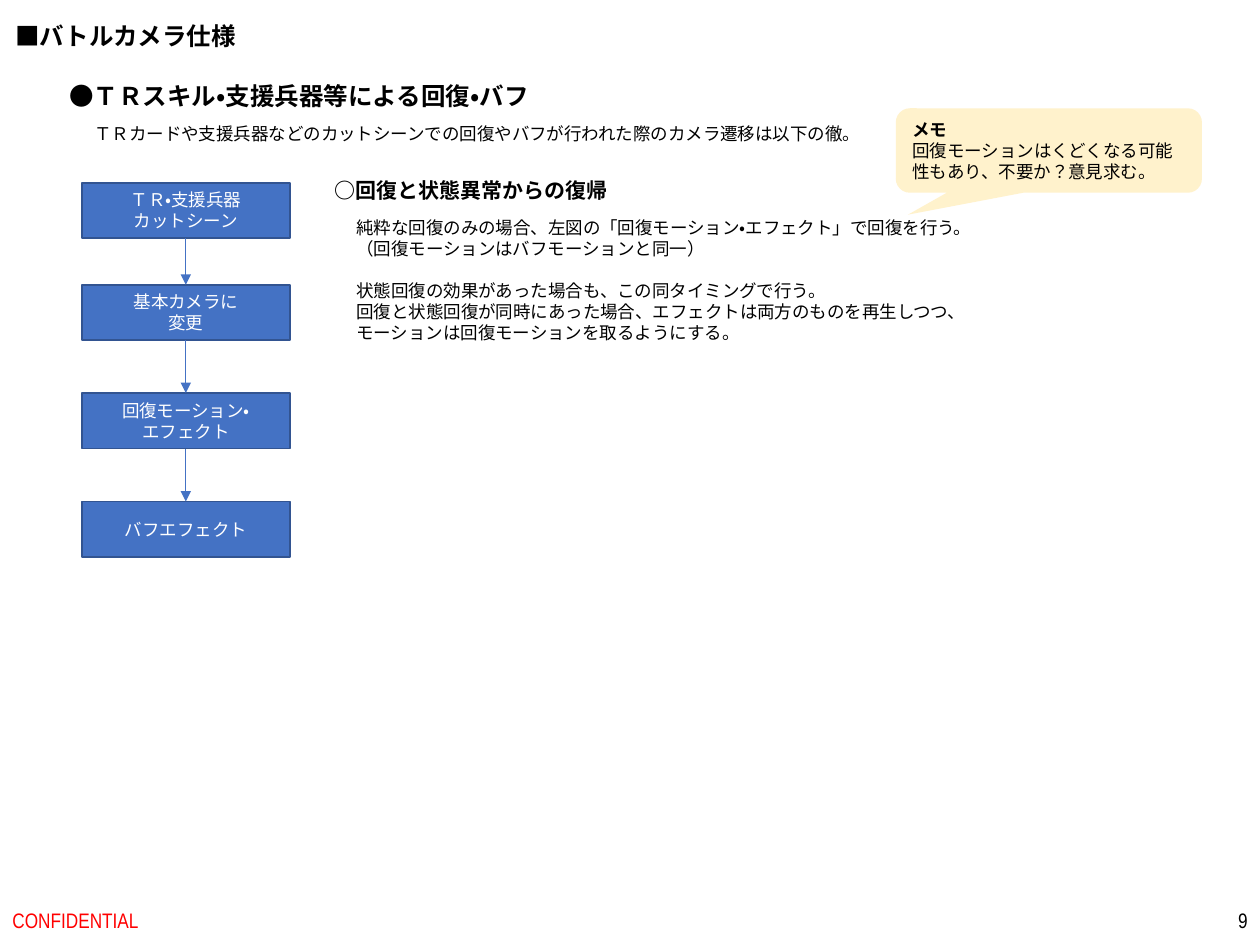
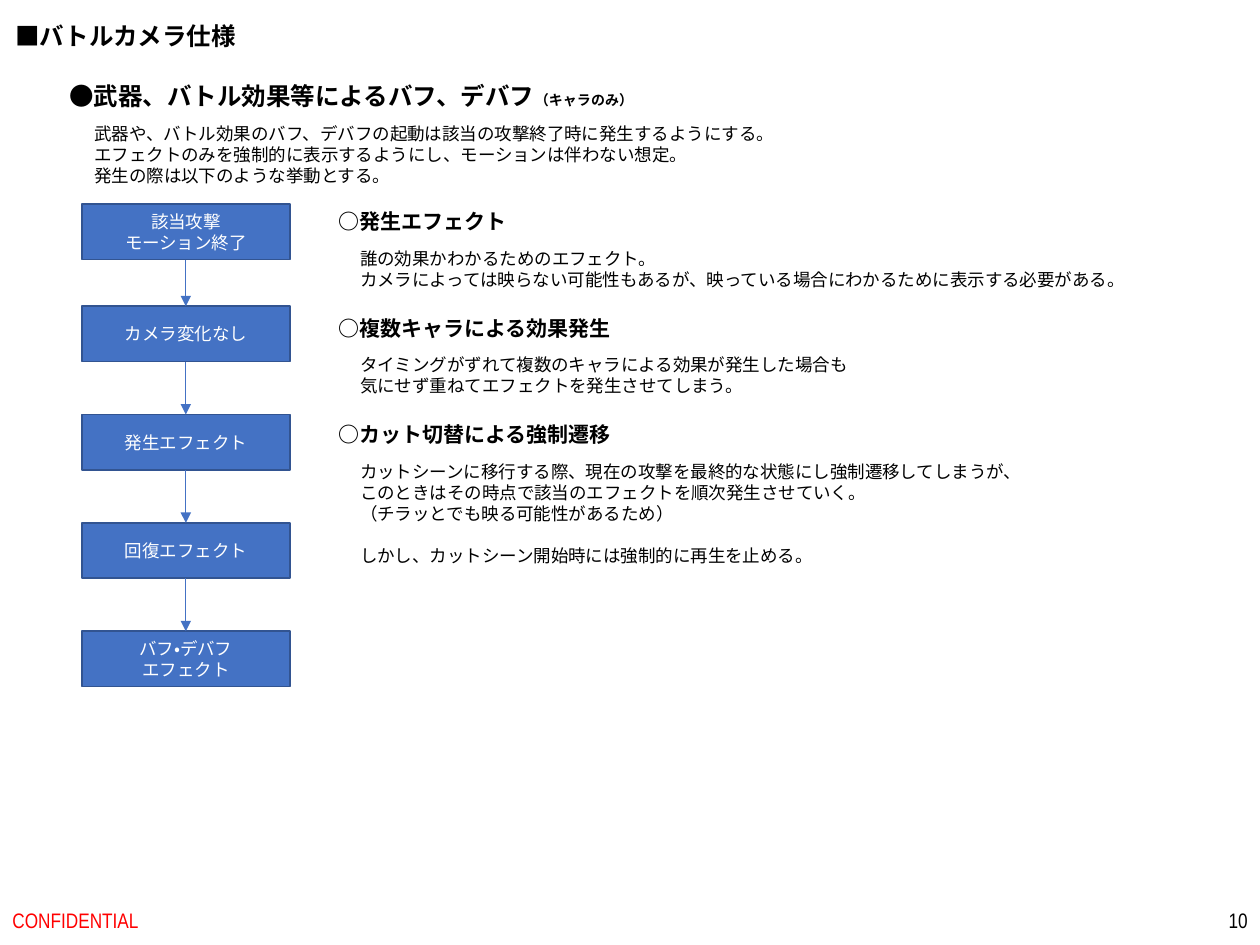
from lxml.etree import SubElement
from pptx import Presentation
from pptx.dml.color import RGBColor
from pptx.enum.lang import MSO_LANGUAGE_ID
from pptx.enum.shapes import MSO_CONNECTOR, MSO_SHAPE
from pptx.enum.text import MSO_ANCHOR, MSO_AUTO_SIZE, PP_ALIGN
from pptx.oxml.ns import qn
from pptx.util import Inches, Pt

# Content: "" in a list of lines opens a gap before the next line
TITLE = "■バトルカメラ仕様"
FOOTER = "CONFIDENTIAL"
PAGES = [
    {
        "number": 9,
        "heading": "●ＴＲスキル・支援兵器等による回復・バフ",
        "heading_note": "",
        "intro": ["ＴＲカードや支援兵器などのカットシーンでの回復やバフが行われた際のカメラ遷移は以下の徹。"],
        "flow_top": 1.45,
        "flow": [
            ["ＴＲ・支援兵器", "カットシーン"],
            ["基本カメラに", "変更"],
            ["回復モーション・", "エフェクト"],
            ["バフエフェクト"],
        ],
        "sections_at": (2.56, 1.36),
        "sections": [
            ("○回復と状態異常からの復帰", [
                "純粋な回復のみの場合、左図の「回復モーション・エフェクト」で回復を行う。",
                "（回復モーションはバフモーションと同一）",
                "",
                "状態回復の効果があった場合も、この同タイミングで行う。",
                "回復と状態回復が同時にあった場合、エフェクトは両方のものを再生しつつ、",
                "モーションは回復モーションを取るようにする。",
            ]),
        ],
        "memo": ["メモ", "回復モーションはくどくなる可能性もあり、不要か？意見求む。"],
    },
    {
        "number": 10,
        "heading": "●武器、バトル効果等によるバフ、デバフ",
        "heading_note": "（キャラのみ）",
        "intro": [
            "武器や、バトル効果のバフ、デバフの起動は該当の攻撃終了時に発生するようにする。",
            "エフェクトのみを強制的に表示するようにし、モーションは伴わない想定。",
            "発生の際は以下のような挙動とする。",
        ],
        "flow_top": 1.62,
        "flow": [
            ["該当攻撃", "モーション終了"],
            ["カメラ変化なし"],
            ["発生エフェクト"],
            ["回復エフェクト"],
            ["バフ・デバフ", "エフェクト"],
        ],
        "sections_at": (2.59, 1.61),
        "sections": [
            ("○発生エフェクト", [
                "誰の効果かわかるためのエフェクト。",
                "カメラによっては映らない可能性もあるが、映っている場合にわかるために表示する必要がある。",
            ]),
            ("○複数キャラによる効果発生", [
                "タイミングがずれて複数のキャラによる効果が発生した場合も",
                "気にせず重ねてエフェクトを発生させてしまう。",
            ]),
            ("○カット切替による強制遷移", [
                "カットシーンに移行する際、現在の攻撃を最終的な状態にし強制遷移してしまうが、",
                "このときはその時点で該当のエフェクトを順次発生させていく。",
                "（チラッとでも映る可能性があるため）",
                "",
                "しかし、カットシーン開始時には強制的に再生を止める。",
            ]),
        ],
        "memo": [],
    },
]

# Shared look
COLORS = {"text": "000000", "alert": "FF0000", "box": "4472C4", "edge": "325491",
          "box_text": "FFFFFF", "memo": "FFF2CC"}
BODY_FONT, HEAD_FONT, FOOTER_FONT = "Arial", "Quicksand", "Arial Narrow"
TITLE_SIZE, SECTION_SIZE, BODY_SIZE, NOTE_SIZE, FOOTER_SIZE = 14, 12, 10, 8, 12
LINE_FACTOR = 1.2
BOX_LEFT, BOX_WIDTH, BOX_HEIGHT = 0.65, 1.65, 0.44
FIRST_STEP, NEXT_STEP = 0.81, 0.86
BODY_INDENT, BODY_DROP, SECTION_GAP = 0.17, 0.31, 0.1


def color(name):
    return RGBColor.from_string(COLORS[name])


def place(box, left, top, width, height):
    box.left, box.top = Inches(left), Inches(top)
    box.width, box.height = Inches(width), Inches(height)


def style_span(span, font, size, tint="text", bold=False):
    span.font.name = font
    span.font.size = Pt(size)
    span.font.bold = bold
    span.font.color.rgb = color(tint)
    span.font.language_id = MSO_LANGUAGE_ID.JAPANESE


def write(frame, lines, font, size, tint="text", bold=False,
          align=PP_ALIGN.LEFT, anchor=MSO_ANCHOR.TOP):
    frame.text = "\n".join(line for line in lines if line)
    frame.vertical_anchor = anchor
    after_gap = [not before for before, line in zip(["start", *lines], lines) if line]
    for para, gap in zip(frame.paragraphs, after_gap):
        para.alignment = align
        para.space_before = Pt(size * LINE_FACTOR if gap else 0)
        for span in para.runs:
            style_span(span, font, size, tint, bold)


def text_width(lines, size):
    return max(map(len, lines)) * size / 72


def text_height(lines, size):
    return len(lines) * size * LINE_FACTOR / 72 + 0.1


def fit(box, left, top, lines, size, extra=0):
    """Give an unwrapped box the size of its full-width text."""
    place(box, left, top, text_width(lines, size) + extra + 0.22, text_height(lines, size))
    box.text_frame.word_wrap = False
    box.text_frame.auto_size = MSO_AUTO_SIZE.SHAPE_TO_FIT_TEXT


def add_label(page, left, top, lines, font, size, bold=False, extra=0):
    box = page.shapes.add_textbox(0, 0, 0, 0)
    write(box.text_frame, lines, font, size, bold=bold)
    fit(box, left, top, lines, size, extra)
    return box


def add_panel(page, kind, bounds, fill):
    panel = page.shapes.add_shape(kind, *map(Inches, bounds))
    panel.shadow.inherit = False
    panel.fill.solid()
    panel.fill.fore_color.rgb = color(fill)
    return panel


def add_arrow(page, upper, lower):
    arrow = page.shapes.add_connector(MSO_CONNECTOR.STRAIGHT, 0, 0, 0, 0)
    arrow.begin_connect(upper, 2)
    arrow.end_connect(lower, 0)
    arrow.line.color.rgb = color("box")
    arrow.line.width = Pt(0.5)
    SubElement(arrow.line._get_or_add_ln(), qn("a:tailEnd"), type="triangle")
    SubElement(arrow._element.spPr, qn("a:effectLst"))


def add_frame(page, number):
    """Title, footer and page number."""
    title = page.shapes.title
    write(title.text_frame, [TITLE], BODY_FONT, TITLE_SIZE, bold=True)
    fit(title, 0.02, 0.12, [TITLE], TITLE_SIZE)
    for left, width, text, tint, align in (
        (0, 3.38, FOOTER, "alert", PP_ALIGN.LEFT),
        (7.75, 2.25, str(number), "text", PP_ALIGN.RIGHT),
    ):
        box = page.shapes.add_textbox(*map(Inches, (left, 7.1, width, 0.4)))
        box.text_frame.word_wrap = True
        write(box.text_frame, [text], FOOTER_FONT, FOOTER_SIZE, tint,
              align=align, anchor=MSO_ANCHOR.MIDDLE)


def add_heading(page, heading, note):
    box = add_label(page, 0.45, 0.59, [heading], HEAD_FONT, TITLE_SIZE, True,
                    text_width([note], NOTE_SIZE))
    if note:
        span = box.text_frame.paragraphs[0].add_run()
        span.text = note
        style_span(span, HEAD_FONT, NOTE_SIZE, bold=True)


def add_flow(page, top, steps):
    previous = None
    for index, lines in enumerate(steps):
        offset = FIRST_STEP + (index - 1) * NEXT_STEP if index else 0
        step = add_panel(page, MSO_SHAPE.RECTANGLE,
                         (BOX_LEFT, top + offset, BOX_WIDTH, BOX_HEIGHT), "box")
        step.line.color.rgb = color("edge")
        step.line.width = Pt(1)
        write(step.text_frame, lines, HEAD_FONT, BODY_SIZE, "box_text",
              align=PP_ALIGN.CENTER, anchor=MSO_ANCHOR.MIDDLE)
        if previous is not None:
            add_arrow(page, previous, step)
        previous = step


def add_sections(page, left, top, sections):
    for heading, lines in sections:
        add_label(page, left, top, [heading], HEAD_FONT, SECTION_SIZE, True)
        add_label(page, left + BODY_INDENT, top + BODY_DROP, lines, BODY_FONT, BODY_SIZE)
        top += BODY_DROP + text_height(lines, BODY_SIZE) + SECTION_GAP


def add_memo(page, lines):
    memo = add_panel(page, MSO_SHAPE.ROUNDED_RECTANGULAR_CALLOUT,
                     (7.11, 0.86, 2.43, 0.67), "memo")
    memo.line.fill.background()
    memo.adjustments[0], memo.adjustments[1] = -0.46, 0.76
    write(memo.text_frame, lines, HEAD_FONT, BODY_SIZE)
    memo.text_frame.paragraphs[0].runs[0].font.bold = True


def main():
    deck = Presentation()
    deck.slide_width, deck.slide_height = Inches(10), Inches(7.5)
    for content in PAGES:
        page = deck.slides.add_slide(deck.slide_layouts[5])
        add_frame(page, content["number"])
        add_heading(page, content["heading"], content["heading_note"])
        add_label(page, 0.65, 0.93, content["intro"], BODY_FONT, BODY_SIZE)
        add_flow(page, content["flow_top"], content["flow"])
        add_sections(page, *content["sections_at"], content["sections"])
        if content["memo"]:
            add_memo(page, content["memo"])
    deck.save("out.pptx")


if __name__ == "__main__":
    main()
